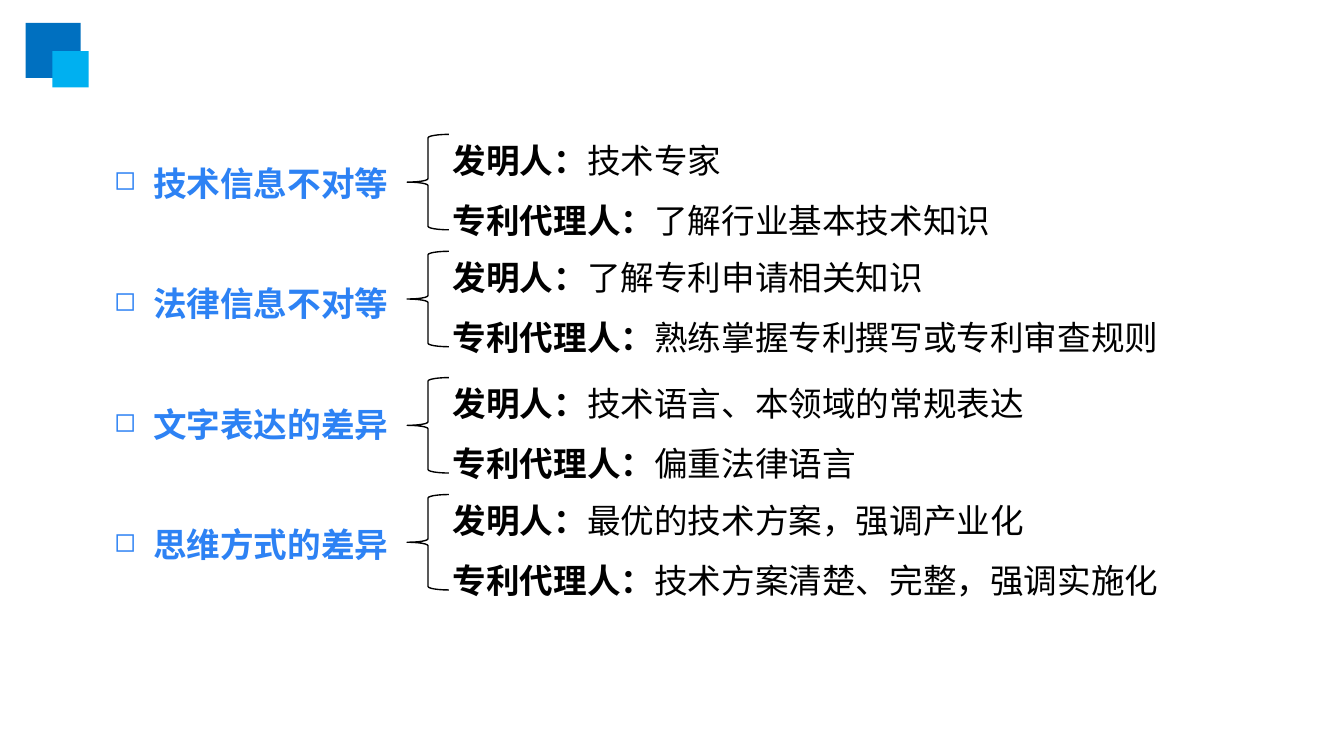
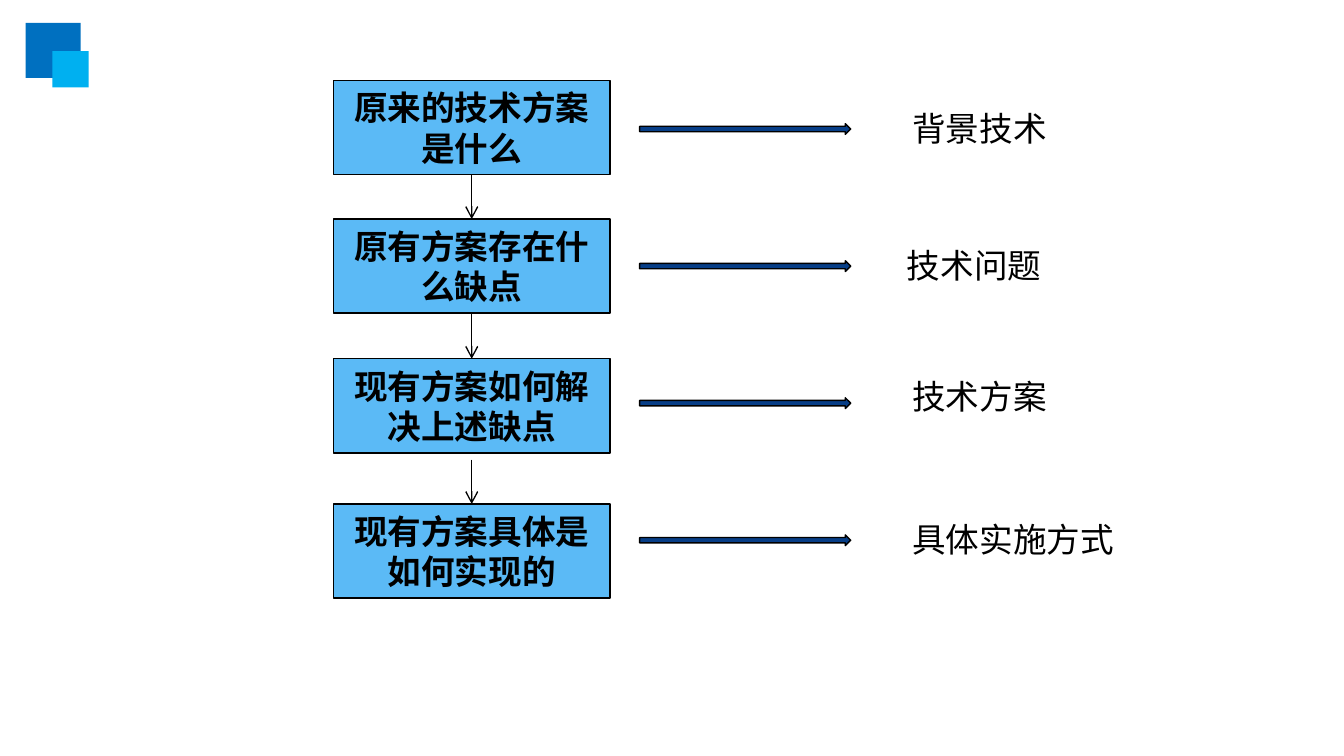
from pptx import Presentation
from pptx import util as u
from pptx.dml.color import RGBColor
from pptx.enum import shapes, text
from pptx.oxml.ns import qn
from lxml import etree

BLACK = RGBColor(0x00, 0x00, 0x00)
DEEP_BLUE = RGBColor(0x00, 0x70, 0xC0)
CYAN = RGBColor(0x00, 0xB0, 0xF0)
HEADING_BLUE = RGBColor(0x2D, 0x82, 0xF4)
STEP_BLUE = RGBColor(0x5B, 0xBA, 0xF6)
ARROW_BLUE = RGBColor(0x07, 0x3E, 0x87)
SANS, CJK = "Arial", "Noto Sans CJK SC"
SIZE = u.Pt(18)

# Content: (heading, brace top, inventor, agent, width of the text)
ROLES = ("发明人：", "专利代理人：")
DIFFERENCES = [
    ("技术信息不对等", 1.00, "技术专家", "了解行业基本技术知识", 4.25),
    ("法律信息不对等", 1.87, "了解专利申请相关知识", "熟练掌握专利撰写或专利审查规则", 5.91),
    ("文字表达的差异", 2.81, "技术语言、本领域的常规表达", "偏重法律语言", 5.35),
    ("思维方式的差异", 3.68, "最优的技术方案，强调产业化", "技术方案清楚、完整，强调实施化", 5.67),
]
# Content: (question, box top, document part, its left, top and width)
STEPS = [
    ("原来的技术方案是什么", 0.60, "背景技术", 6.69, 0.75, 1.2),
    ("原有方案存在什么缺点", 1.63, "技术问题", 6.65, 1.77, 1.2),
    ("现有方案如何解决上述缺点", 2.67, "技术方案", 6.69, 2.75, 1.2),
    ("现有方案具体是如何实现的", 3.75, "具体实施方式", 6.69, 3.81, 1.7),
]
STEP_LEFT, STEP_WIDTH, STEP_HEIGHT = 2.48, 2.06, 0.7
ARROW_TOP, ARROW_PITCH = 0.92, 1.02
LINK_LENGTH = 0.33


def add_run(paragraph, words, font=SANS, color=BLACK, bold=False):
    run = paragraph.add_run()
    run.text = words
    run.font.size, run.font.name, run.font.bold = SIZE, font, bold
    run.font.color.rgb = color
    props = run.font._element
    props.set("lang", "zh-CN")
    etree.SubElement(props, qn("a:ea")).set("typeface", SANS)


def add_form(slide, kind, left, top, width, height, fill=None, line=None):
    form = slide.shapes.add_shape(kind, *map(u.Inches, (left, top, width, height)))
    form.shadow.inherit = False
    if fill is None:
        form.fill.background()
    else:
        form.fill.solid()
        form.fill.fore_color.rgb = fill
    if line is None:
        form.line.fill.background()
    else:
        form.line.color.rgb = line
        form.line.width = u.Pt(0.75)
    return form


def add_text(slide, left, top, width, height, wrap=True):
    box = slide.shapes.add_textbox(*map(u.Inches, (left, top, width, height)))
    box.text_frame.word_wrap = wrap
    return box.text_frame


def next_paragraph(frame, index):
    return frame.add_paragraph() if index else frame.paragraphs[0]


def add_bullet(paragraph, char, indent):
    props = paragraph._p.get_or_add_pPr()
    props.set("marL", str(u.Inches(indent)))
    props.set("indent", str(-u.Inches(indent)))
    etree.SubElement(props, qn("a:buSzPct")).set("val", "80000")
    etree.SubElement(props, qn("a:buChar")).set("char", char)


def add_link(slide, x, top, bottom):
    link = slide.shapes.add_connector(
        shapes.MSO_CONNECTOR.STRAIGHT, *map(u.Inches, (x, top, x, bottom)))
    link.line.color.rgb = BLACK
    link.line.width = u.Pt(0.75)
    etree.SubElement(link.line._get_or_add_ln(), qn("a:tailEnd")).set("type", "arrow")
    etree.SubElement(link._element.spPr, qn("a:effectLst"))
    return link


def new_slide(deck):
    slide = deck.slides.add_slide(deck.slide_layouts[6])
    # Corner squares
    add_form(slide, shapes.MSO_SHAPE.RECTANGLE, 0.19, 0.17, 0.41, 0.41, DEEP_BLUE)
    add_form(slide, shapes.MSO_SHAPE.RECTANGLE, 0.39, 0.38, 0.27, 0.27, CYAN)
    return slide


def build_differences(deck):
    slide = new_slide(deck)
    # Bulleted headings
    headings = add_text(slide, 0.75, 1.16, 8.35, 3.13)
    for i, (heading, *_) in enumerate(DIFFERENCES):
        paragraph = next_paragraph(headings, i)
        if i:
            paragraph.space_before = u.Pt(43)
        add_bullet(paragraph, "◻", 0.29)
        add_run(paragraph, heading, CJK, HEADING_BLUE, True)
    # Braces
    for _, top, *_ in DIFFERENCES:
        add_form(slide, shapes.MSO_SHAPE.LEFT_BRACE, 3.03, top, 0.31, 0.71, line=BLACK)
    # The two views beside each brace
    for _, top, inventor, agent, width in DIFFERENCES:
        views = add_text(slide, 3.27, top - 0.16, width, 1.01)
        for i, (role, view) in enumerate(zip(ROLES, (inventor, agent))):
            paragraph = next_paragraph(views, i)
            paragraph.line_spacing = 1.5
            add_run(paragraph, role, bold=True)
            add_run(paragraph, view)


def build_steps(deck):
    slide = new_slide(deck)
    # Question boxes
    boxes = []
    for question, top, *_ in STEPS:
        box = add_form(slide, shapes.MSO_SHAPE.RECTANGLE, STEP_LEFT, top,
                       STEP_WIDTH, STEP_HEIGHT, STEP_BLUE, BLACK)
        frame = box.text_frame
        frame.word_wrap = True
        frame.vertical_anchor = text.MSO_ANCHOR.MIDDLE
        frame.paragraphs[0].alignment = text.PP_ALIGN.CENTER
        add_run(frame.paragraphs[0], question, bold=True)
        boxes.append(box)
    # Links between boxes; the last one starts just below its box
    for i, (upper, lower) in enumerate(zip(boxes, boxes[1:])):
        bottom = STEPS[i + 1][1]
        link = add_link(slide, STEP_LEFT + STEP_WIDTH / 2, bottom - LINK_LENGTH, bottom)
        if i < len(boxes) - 2:
            link.begin_connect(upper, 2)
        link.end_connect(lower, 0)
    # Arrows to the document parts
    for i in range(len(STEPS)):
        add_form(slide, shapes.MSO_SHAPE.RIGHT_ARROW, 4.76, ARROW_TOP + i * ARROW_PITCH,
                 1.57, 0.08, ARROW_BLUE, BLACK)
    # Document parts
    for _, _, part, left, top, width in STEPS:
        label = add_text(slide, left, top, width, 0.42, wrap=False)
        add_run(label.paragraphs[0], part, CJK)


def main():
    deck = Presentation()
    # Widescreen, 16 to 9
    deck.slide_width = u.Inches(10)
    deck.slide_height = deck.slide_width * 9 // 16
    build_differences(deck)
    build_steps(deck)
    deck.save("out.pptx")


if __name__ == "__main__":
    main()
